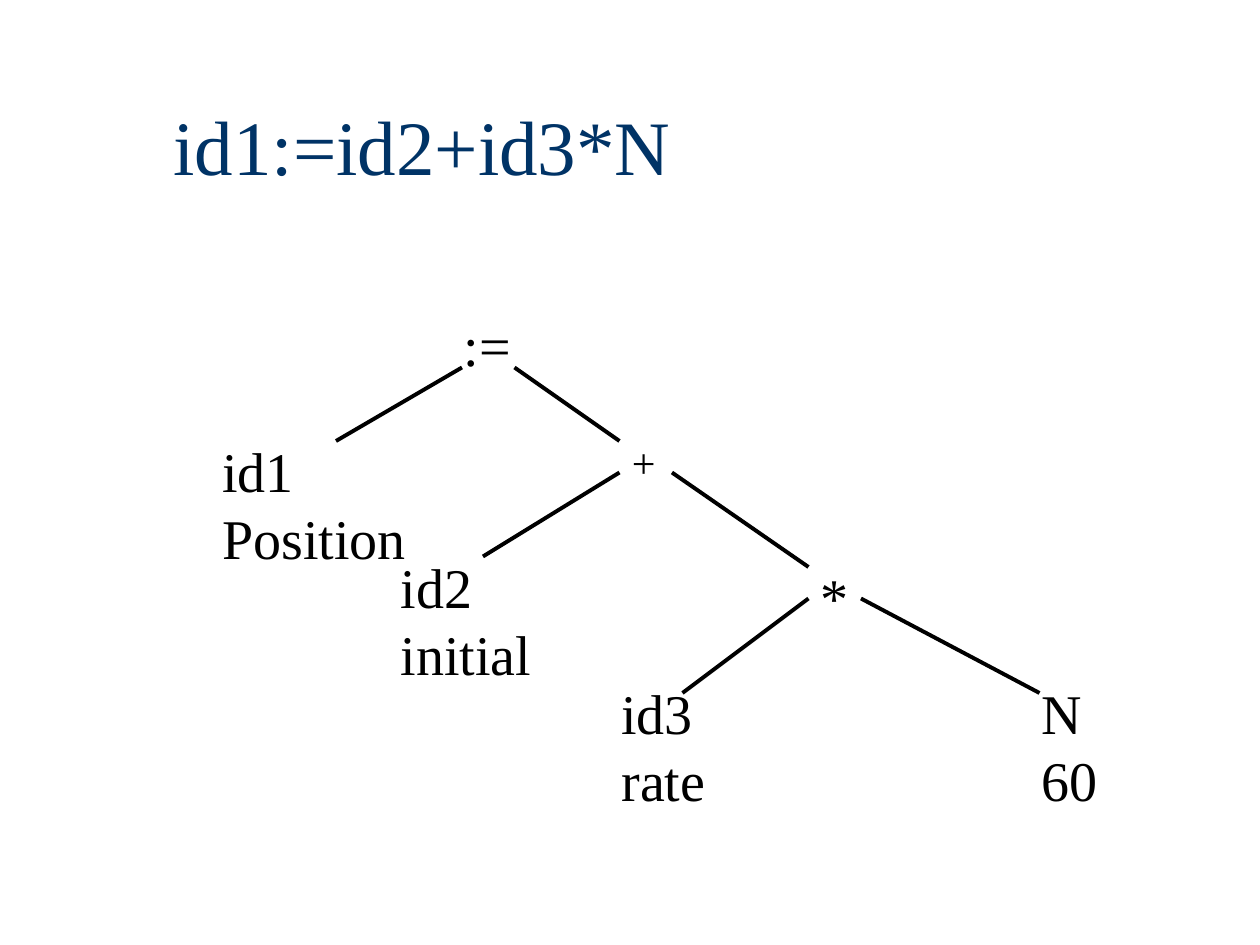
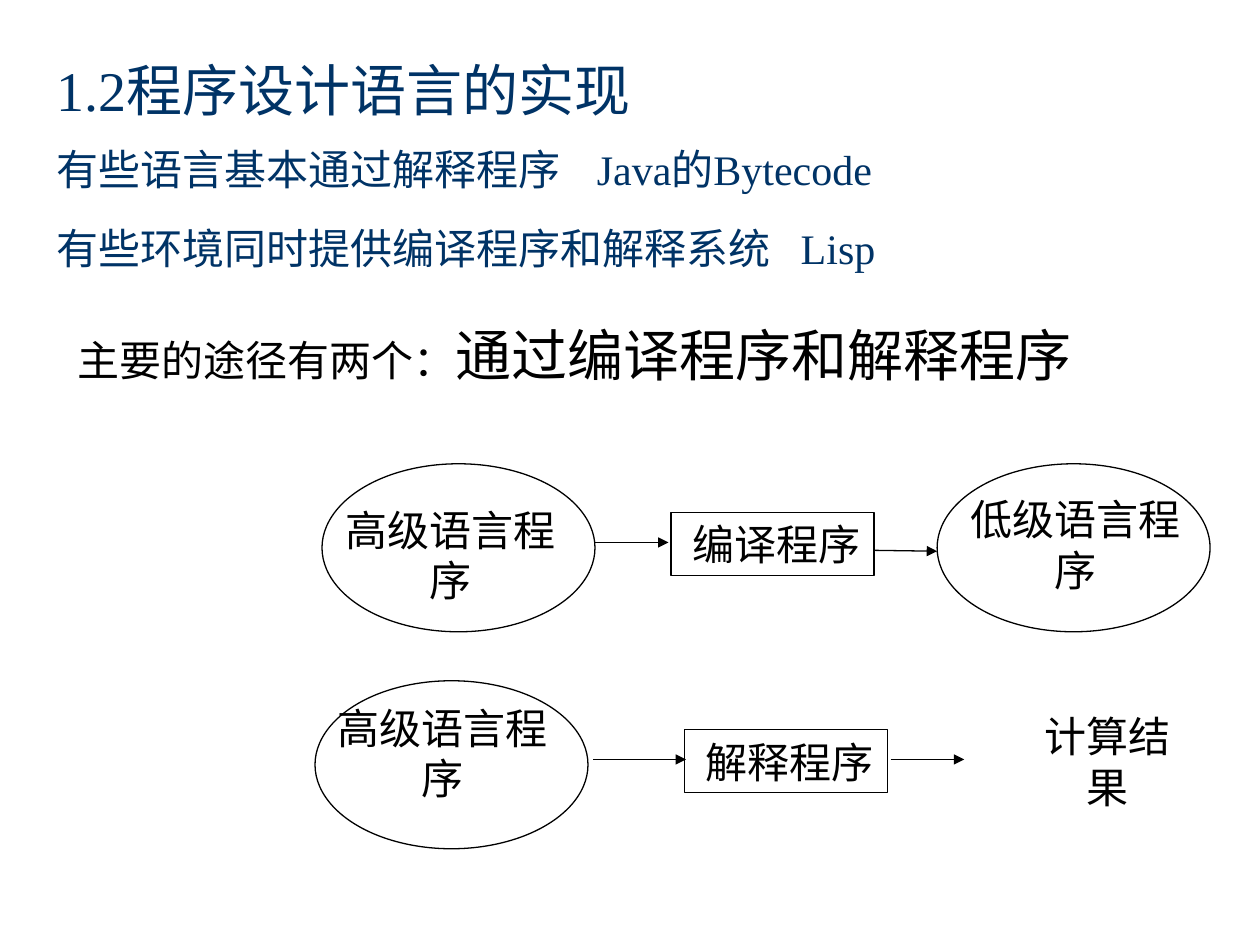
"""Build two slides on compilers: a syntax tree and the two ways to run a language."""
from collections import namedtuple
from dataclasses import dataclass

from lxml import etree
from pptx import Presentation
from pptx.dml.color import RGBColor
from pptx.enum import shapes, text
from pptx.oxml.ns import qn
from pptx.util import Pt

Box = namedtuple("Box", "left top width height")


@dataclass(frozen=True)
class Theme:
    """Colours, type and line sizes used by all slides."""
    navy: RGBColor = RGBColor(0x00, 0x33, 0x66)
    black: RGBColor = RGBColor(0, 0, 0)
    serif: str = "Times New Roman"
    sans: str = "Arial"
    title: float = 44
    large: float = 32
    normal: float = 24
    leading: float = 1.2
    thin: float = 0.75
    thick: float = 2.25


THEME = Theme()


def apply_format(target, values):
    """Set every attribute named in values on target."""
    for name, value in values.items():
        setattr(target, name, value)


def inside(box, left, top, width, height):
    """Return a part's box, given its place relative to an outer box."""
    return Box(box.left + left, box.top + top, width, height)


def in_points(box):
    """Return the four sides of a box as point lengths."""
    return [Pt(side) for side in box]


def set_frame(shape, anchor, wrap=True, indent=0):
    """Set the margins, anchor and wrapping of a shape's text."""
    apply_format(shape.text_frame, {
        "margin_left": Pt(7.2 + indent), "margin_right": Pt(7.2),
        "margin_top": Pt(3.6), "margin_bottom": Pt(3.6),
        "vertical_anchor": anchor, "word_wrap": wrap,
    })
    return shape.text_frame


def add_text_box(page, box, anchor, wrap=True):
    """Add an empty text box and return its frame."""
    return set_frame(page.shapes.add_textbox(*in_points(box)), anchor, wrap)


def write(para, content, size, color=THEME.black, font=THEME.serif, leading=None,
          align=text.PP_ALIGN.LEFT):
    """Append a formatted run to a paragraph and set its line height."""
    apply_format(para, {"alignment": align, "line_spacing": Pt(leading or size * THEME.leading)})
    span = para.add_run()
    span.text = content
    apply_format(span.font, {"name": font, "size": Pt(size)})
    span.font.color.rgb = color


def add_tab_stop(para, position):
    """Add a left tab stop to a paragraph."""
    stops = etree.SubElement(para._p.get_or_add_pPr(), qn("a:tabLst"))
    etree.SubElement(stops, qn("a:tab"), pos=str(Pt(position)), algn="l")


def add_line(page, box, start, end, width, arrow=False):
    """Draw a line between two points relative to a box."""
    ends = [Pt(value) for x, y in (start, end) for value in (box.left + x, box.top + y)]
    line = page.shapes.add_connector(shapes.MSO_CONNECTOR.STRAIGHT, *ends)
    line.line.width = Pt(width)
    line.line.color.rgb = THEME.black
    if arrow:
        etree.SubElement(line.line._get_or_add_ln(), qn("a:tailEnd"), type="triangle")
    etree.SubElement(line._element.spPr, qn("a:effectLst"))


def add_outline(page, kind, box):
    """Add an unfilled preset shape with a thin black line."""
    shape = page.shapes.add_shape(kind, *in_points(box))
    shape.shadow.inherit = False
    shape.fill.background()
    shape.line.width = Pt(THEME.thin)
    shape.line.color.rgb = THEME.black
    return shape


def add_title(page, box, content):
    """Add a one-line slide title."""
    frame = add_text_box(page, box, text.MSO_ANCHOR.MIDDLE)
    write(frame.paragraphs[0], content, THEME.title, THEME.navy, leading=56)


def add_syntax_tree(page, box):
    """Draw the nodes and branches of the expression's syntax tree."""
    nodes = [
        (":=", 138, 0, 48, 46, THEME.large),
        ("+", 234, 72, 48, 36, THEME.normal),
        ("*", 342, 144, 48, 46, THEME.large),
        ("id1 Position", 0, 72, 120, 84, THEME.large),
        ("id2 initial", 102, 138, 90, 84, THEME.large),
        ("id3 rate", 228, 210, 66, 84, THEME.large),
        ("N 60", 468, 210, 48, 84, THEME.large),
    ]
    for content, left, top, width, height, size in nodes:
        place = inside(box, left, top, width, height)
        frame = add_text_box(page, place, text.MSO_ANCHOR.TOP)
        write(frame.paragraphs[0], content, size)
    branches = [
        ((144, 36), (72, 78)), ((174, 36), (234, 78)),
        ((234, 96), (156, 144)), ((264, 96), (342, 150)),
        ((342, 168), (270, 222)), ((372, 168), (474, 222)),
    ]
    for start, end in branches:
        add_line(page, box, start, end, THEME.thick)


def add_section_heading(page, box):
    """Write the section title with its two lines of examples."""
    frame = add_text_box(page, box, text.MSO_ANCHOR.MIDDLE)
    write(frame.paragraphs[0], "1.2程序设计语言的实现", THEME.large, THEME.navy, leading=38)
    examples = [
        ("有些语言基本通过解释程序\tJava的Bytecode", 309, 40.5),
        ("有些环境同时提供编译程序和解释系统\tLisp", 425.5, 45),
    ]
    for content, stop, leading in examples:
        para = frame.add_paragraph()
        add_tab_stop(para, stop)
        write(para, content, THEME.normal, THEME.navy, leading=leading)


def add_statement(page, box):
    """Write the sentence that names the two ways."""
    para = add_text_box(page, box, text.MSO_ANCHOR.BOTTOM).paragraphs[0]
    for content, size in (("主要的途径有两个：", THEME.normal),
                          ("通过编译程序和解释程序", THEME.large)):
        write(para, content, size, font=THEME.sans, leading=40)


def add_flow(page, box, processor, processor_left, ovals, labels, arrows):
    """Draw one row: source program, processor and result, joined by arrows."""
    for left in ovals:
        add_outline(page, shapes.MSO_SHAPE.OVAL, inside(box, left, 0, 156, 96))
    place = inside(box, processor_left, 28, 116, 36)
    step = add_outline(page, shapes.MSO_SHAPE.RECTANGLE, place)
    frame = set_frame(step, text.MSO_ANCHOR.MIDDLE, wrap=False, indent=5)
    write(frame.paragraphs[0], processor, THEME.normal)
    for content, left, top, width in labels:
        place = inside(box, left, top, width, 36)
        frame = add_text_box(page, place, text.MSO_ANCHOR.MIDDLE, wrap=False)
        write(frame.paragraphs[0], content, THEME.normal, align=text.PP_ALIGN.CENTER)
    for start, end in arrows:
        add_line(page, box, start, end, THEME.thin, arrow=True)


def build_tree_slide(page, box):
    """Build the slide with the syntax tree of an assignment."""
    add_title(page, inside(box, 92, 36, 612, 90), "id1:=id2+id3*N")
    add_syntax_tree(page, inside(box, 120, 174, 516, 294))


def build_implementation_slide(page, box):
    """Build the slide that compares compiling with interpreting."""
    add_section_heading(page, inside(box, 25, 20, 679, 148))
    add_statement(page, inside(box, 37, 140, 667, 85))
    add_flow(
        page, inside(box, 184, 265, 508, 96), "编译程序", 199.5, [0, 351.5],
        [("高级语言程序", -5.5, 34, 158), ("低级语言程序", 351.5, 28, 158)],
        [((156, 45), (198, 45)), ((315.5, 49.5), (351.5, 50))])
    add_flow(
        page, inside(box, 180, 389, 508, 96), "解释程序", 211, [0],
        [("高级语言程序", -6, 23, 158), ("计算结果", 398, 28, 110)],
        [((159, 45), (212, 45)), ((329, 45), (371, 45))])


def main():
    """Create the deck and save it."""
    deck = Presentation()
    box = Box(0, 0, 720, 540)
    apply_format(deck, {"slide_width": Pt(box.width), "slide_height": Pt(box.height)})
    for build in (build_tree_slide, build_implementation_slide):
        build(deck.slides.add_slide(deck.slide_layouts[6]), box)
    deck.save("out.pptx")


if __name__ == "__main__":
    main()
